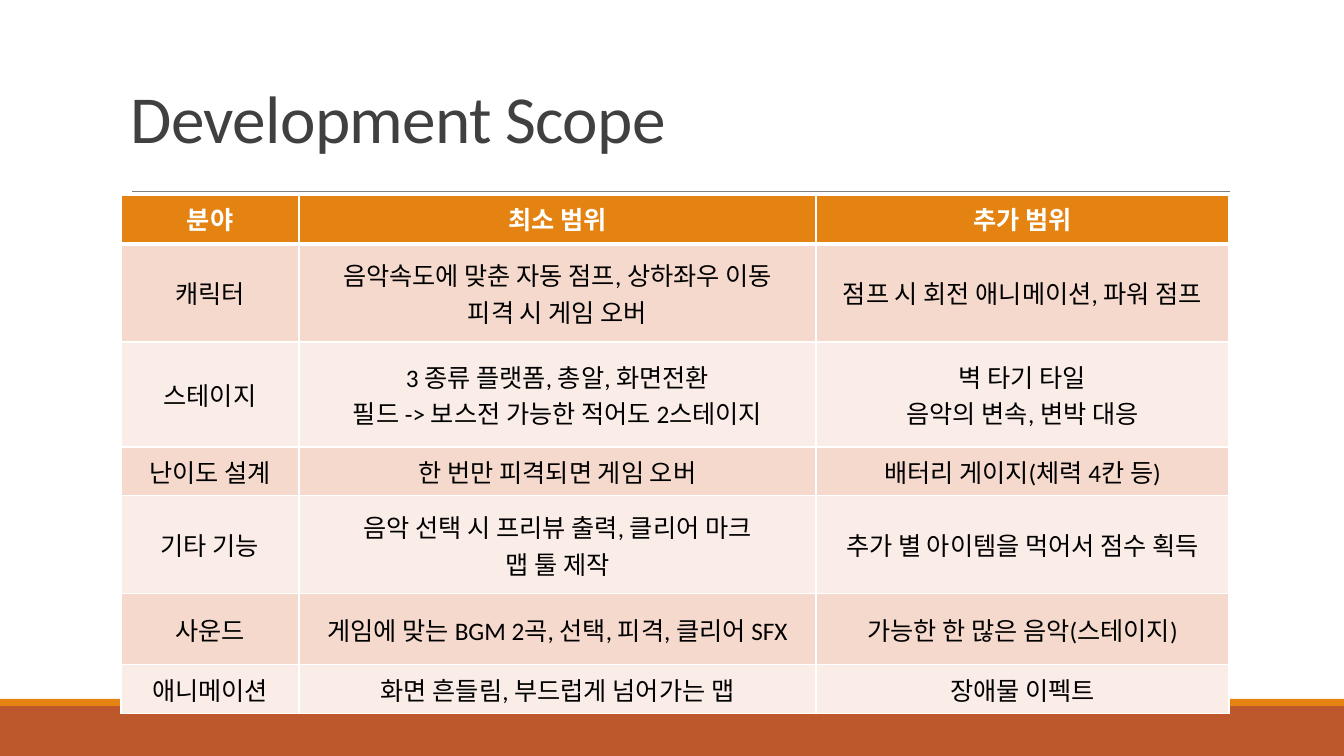
from pptx import Presentation
from pptx.dml.color import RGBColor
from pptx.enum.shapes import MSO_CONNECTOR, MSO_SHAPE
from pptx.enum.text import MSO_ANCHOR, PP_ALIGN
from pptx.oxml.ns import qn
from pptx.util import Pt
from lxml import etree

LINE, RECT = MSO_CONNECTOR.STRAIGHT, MSO_SHAPE.RECTANGLE
TOP, MIDDLE, BOTTOM = MSO_ANCHOR.TOP, MSO_ANCHOR.MIDDLE, MSO_ANCHOR.BOTTOM
LEFT, CENTER = PP_ALIGN.LEFT, PP_ALIGN.CENTER

WHITE = RGBColor(0xFF, 0xFF, 0xFF)
BLACK = RGBColor(0x00, 0x00, 0x00)
DARK = RGBColor(0x40, 0x40, 0x40)
GRAY = RGBColor(0x80, 0x80, 0x80)
ORANGE = RGBColor(0xE4, 0x83, 0x12)
RUST = RGBColor(0xBD, 0x58, 0x2C)
BAND = RGBColor(0xF5, 0xD9, 0xCC)
PALE = RGBColor(0xFA, 0xED, 0xE7)


def px(*vals):
    return [round(v * 914400 / 100.8) for v in vals]


def write(frame, text, size=18, color=BLACK, bold=False, align=CENTER,
          space=None, track=None):
    frame.text = text
    for para in frame.paragraphs:
        para.alignment = align
        para.line_spacing = space
        for run in para.runs:
            font = run.font
            font.name, font.size, font.bold = "Calibri", Pt(size), bold
            font.color.rgb = color
            if track:
                run._r.get_or_add_rPr().set("spc", str(track))


deck = Presentation()
deck.slide_width, deck.slide_height = px(1344, 756)
slide = deck.slides.add_slide(deck.slide_layouts[6])
shapes = slide.shapes

# Footer bars
for top, height, color in [(706, 50, RUST), (699, 7, ORANGE)]:
    bar = shapes.add_shape(RECT, *px(0, top, 1344, height))
    bar.shadow.inherit = False
    bar.fill.solid()
    bar.fill.fore_color.rgb = color
    bar.line.fill.background()

# Rule under the title
rule = shapes.add_connector(LINE, *px(132, 191, 1230, 191))
rule.line.color.rgb = GRAY
rule.line.width = Pt(0.5)
etree.SubElement(rule._element.spPr, qn("a:effectLst"))

# Title
title = shapes.add_textbox(*px(121, 0, 1109, 162)).text_frame
title.word_wrap = True
title.vertical_anchor = BOTTOM
write(title, "Development Scope", size=48, color=DARK, align=LEFT,
      space=0.85, track=-50)

# Scope table
COLS = [178, 517, 413]
ROWS = [
    (49, "분야", "최소 범위", "추가 범위"),
    (98, "캐릭터", "음악속도에 맞춘 자동 점프, 상하좌우 이동\n피격 시 게임 오버",
     "점프 시 회전 애니메이션, 파워 점프"),
    (105, "스테이지",
     "3 종류 플랫폼, 총알, 화면전환\n필드 -> 보스전 가능한 적어도 2스테이지",
     "벽 타기 타일\n음악의 변속, 변박 대응"),
    (49, "난이도 설계", "한 번만 피격되면 게임 오버", "배터리 게이지(체력 4칸 등)"),
    (98, "기타 기능", "음악 선택 시 프리뷰 출력, 클리어 마크\n맵 툴 제작",
     "추가 별 아이템을 먹어서 점수 획득"),
    (49, "사운드", "게임에 맞는 BGM 2곡, 선택, 피격, 클리어 SFX",
     "가능한 한 많은 음악(스테이지)"),
    (49, "애니메이션", "화면 흔들림, 부드럽게 넘어가는 맵", "장애물 이펙트"),
]
high = sum(row[0] for row in ROWS)
table = shapes.add_table(len(ROWS), len(COLS),
                         *px(121, 195, sum(COLS), high)).table
for col, width in zip(table.columns, px(*COLS)):
    col.width = width

for r, (height, *texts) in enumerate(ROWS):
    table.rows[r].height = px(height)[0]
    head = r == 0
    for c, text in enumerate(texts):
        cell = table.cell(r, c)
        cell.vertical_anchor = TOP if head else MIDDLE
        write(cell.text_frame, text, color=WHITE if head else BLACK, bold=head)

        # White borders, thicker below the header
        props = cell._tc.get_or_add_tcPr()
        for side in "LRTB":
            thick = (r, side) in [(0, "B"), (1, "T")]
            edge = etree.SubElement(props, qn("a:ln" + side),
                                    w=str(Pt(3 if thick else 1)))
            fill = etree.SubElement(edge, qn("a:solidFill"))
            etree.SubElement(fill, qn("a:srgbClr"), val=str(WHITE))

        cell.fill.solid()
        cell.fill.fore_color.rgb = ORANGE if head else BAND if r % 2 else PALE

deck.save("out.pptx")
